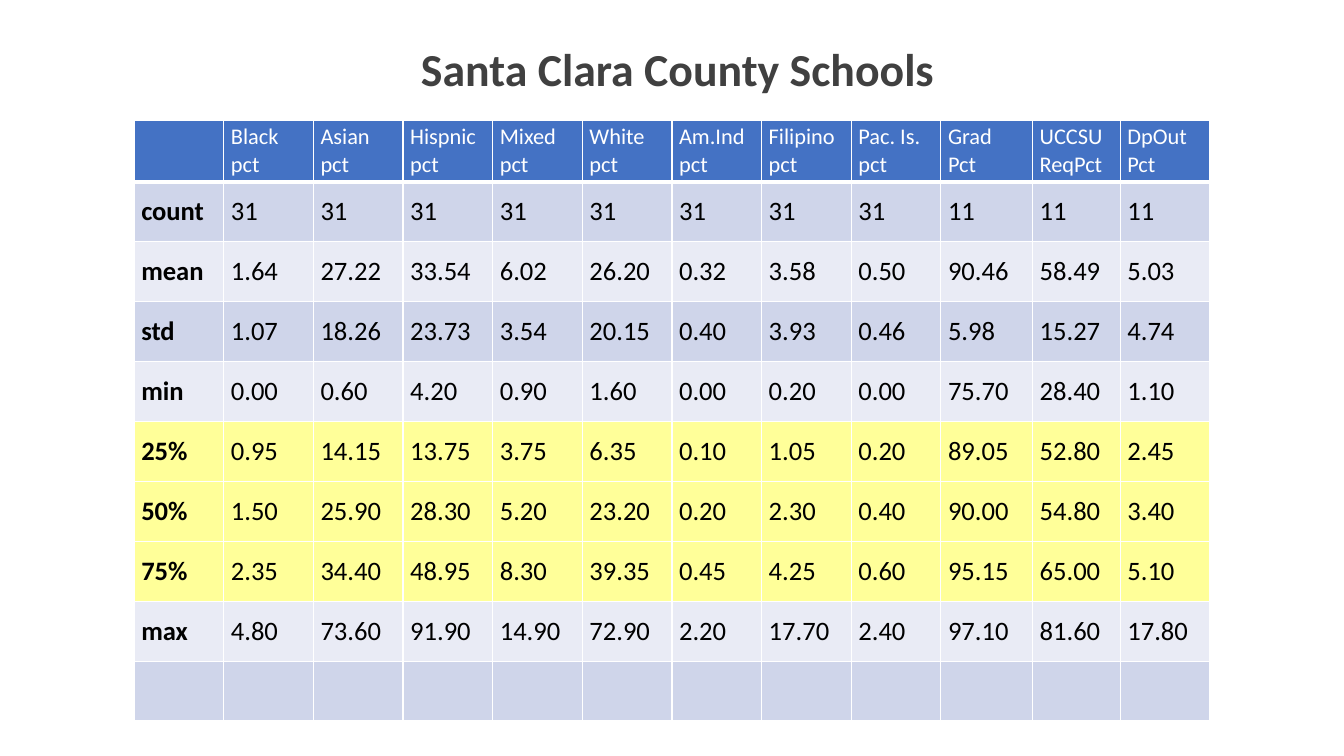
from dataclasses import dataclass

from lxml.etree import SubElement
from pptx import Presentation
from pptx.dml.color import RGBColor
from pptx.enum.text import MSO_ANCHOR as Anchor, MSO_AUTO_SIZE as AutoSize
from pptx.oxml.ns import qn
from pptx.slide import Slide
from pptx.table import Table, _Cell as Cell
from pptx.text.text import _Paragraph as Paragraph
from pptx.util import Cm, Pt

FONT = "Calibri"
WHITE, BLACK, TITLE_GREY = "FFFFFF", "000000", "404040"
HEADER_BLUE, DARK_BAND, LIGHT_BAND, HIGHLIGHT = "4472C4", "CFD5EA", "E9EBF5", "FFFF99"

ROW_HEIGHT, HEADER_HEIGHT = 1.51, 1.55
COLUMN_WIDTHS = [2.26] * 9 + [2.31, 2.21, 2.26]


@dataclass(frozen=True)
class TableRow:
    """One table row; a newline in a cell starts a new paragraph."""
    cells: list[str]
    fill: str
    text_color: str = BLACK
    text_size: float = 19
    bottom_border: float = 1
    bold_label: bool = True


def statistic(label: str, values: str, fill: str) -> TableRow:
    return TableRow([label, *values.split()], fill)


HEADINGS = ["", "Black\npct", "Asian\npct", "Hispnic\npct", "Mixed\npct", "White\npct",
            "Am.Ind\npct", "Filipino\npct", "Pac. Is.\npct", "Grad\nPct",
            "UCCSU\nReqPct", "DpOut\nPct"]

ROWS = [
    TableRow(HEADINGS, HEADER_BLUE, WHITE, 16, bottom_border=3, bold_label=False),
    statistic("count", "31 31 31 31 31 31 31 31 11 11 11", DARK_BAND),
    statistic("mean", "1.64 27.22 33.54 6.02 26.20 0.32 3.58 0.50 90.46 58.49 5.03", LIGHT_BAND),
    statistic("std", "1.07 18.26 23.73 3.54 20.15 0.40 3.93 0.46 5.98 15.27 4.74", DARK_BAND),
    statistic("min", "0.00 0.60 4.20 0.90 1.60 0.00 0.20 0.00 75.70 28.40 1.10", LIGHT_BAND),
    statistic("25%", "0.95 14.15 13.75 3.75 6.35 0.10 1.05 0.20 89.05 52.80 2.45", HIGHLIGHT),
    statistic("50%", "1.50 25.90 28.30 5.20 23.20 0.20 2.30 0.40 90.00 54.80 3.40", HIGHLIGHT),
    statistic("75%", "2.35 34.40 48.95 8.30 39.35 0.45 4.25 0.60 95.15 65.00 5.10", HIGHLIGHT),
    statistic("max", "4.80 73.60 91.90 14.90 72.90 2.20 17.70 2.40 97.10 81.60 17.80", LIGHT_BAND),
    TableRow([""] * len(HEADINGS), DARK_BAND),
]


def color(value: str) -> RGBColor:
    return RGBColor.from_string(value)


def add_run(paragraph: Paragraph, text: str, size: float, text_color: str, bold: bool) -> None:
    run = paragraph.add_run()
    run.text = text
    run.font.name = FONT
    run.font.size = Pt(size)
    run.font.bold = bold
    run.font.color.rgb = color(text_color)


def set_borders(cell: Cell, bottom: float) -> None:
    """Draw white borders; call before the fill, which must follow them in the XML."""
    properties = cell._tc.get_or_add_tcPr()
    for side, width in (("lnL", 1), ("lnR", 1), ("lnT", 1), ("lnB", bottom)):
        line = SubElement(properties, qn(f"a:{side}"), w=str(Pt(width)))
        SubElement(SubElement(line, qn("a:solidFill")), qn("a:srgbClr"), val=WHITE)


def fill_cell(cell: Cell, text: str, row: TableRow, bold: bool) -> None:
    set_borders(cell, row.bottom_border)
    cell.fill.solid()
    cell.fill.fore_color.rgb = color(row.fill)
    cell.vertical_anchor = Anchor.MIDDLE
    cell.margin_left = cell.margin_right = Cm(0.18)
    cell.margin_top = cell.margin_bottom = Cm(0.08)
    if not text:
        return
    for index, line in enumerate(text.split("\n")):
        frame = cell.text_frame
        paragraph = frame.add_paragraph() if index else frame.paragraphs[0]
        add_run(paragraph, line, row.text_size, row.text_color, bold)


def add_statistics_table(slide: Slide) -> Table:
    heights = [HEADER_HEIGHT] + [ROW_HEIGHT] * (len(ROWS) - 1)
    table = slide.shapes.add_table(
        len(ROWS), len(COLUMN_WIDTHS), Cm(3.38), Cm(3.03),
        Cm(sum(COLUMN_WIDTHS)), Cm(sum(heights))).table
    for column, width in zip(table.columns, COLUMN_WIDTHS):
        column.width = Cm(width)
    for table_row, row, height in zip(table.rows, ROWS, heights):
        table_row.height = Cm(height)
        for index, (cell, text) in enumerate(zip(table_row.cells, row.cells)):
            fill_cell(cell, text, row, bold=row.bold_label and index == 0)
    return table


def add_title(slide: Slide, text: str) -> None:
    frame = slide.shapes.add_textbox(Cm(10.36), Cm(0.91), Cm(13.46), Cm(1.65)).text_frame
    frame.word_wrap = False
    frame.auto_size = AutoSize.SHAPE_TO_FIT_TEXT
    add_run(frame.paragraphs[0], text, 32.7, TITLE_GREY, bold=True)


def main() -> None:
    presentation = Presentation()
    presentation.slide_width, presentation.slide_height = Cm(33.87), Cm(19.05)
    slide = presentation.slides.add_slide(presentation.slide_layouts[6])
    add_statistics_table(slide)
    add_title(slide, "Santa Clara County Schools")
    presentation.save("out.pptx")


if __name__ == "__main__":
    main()
